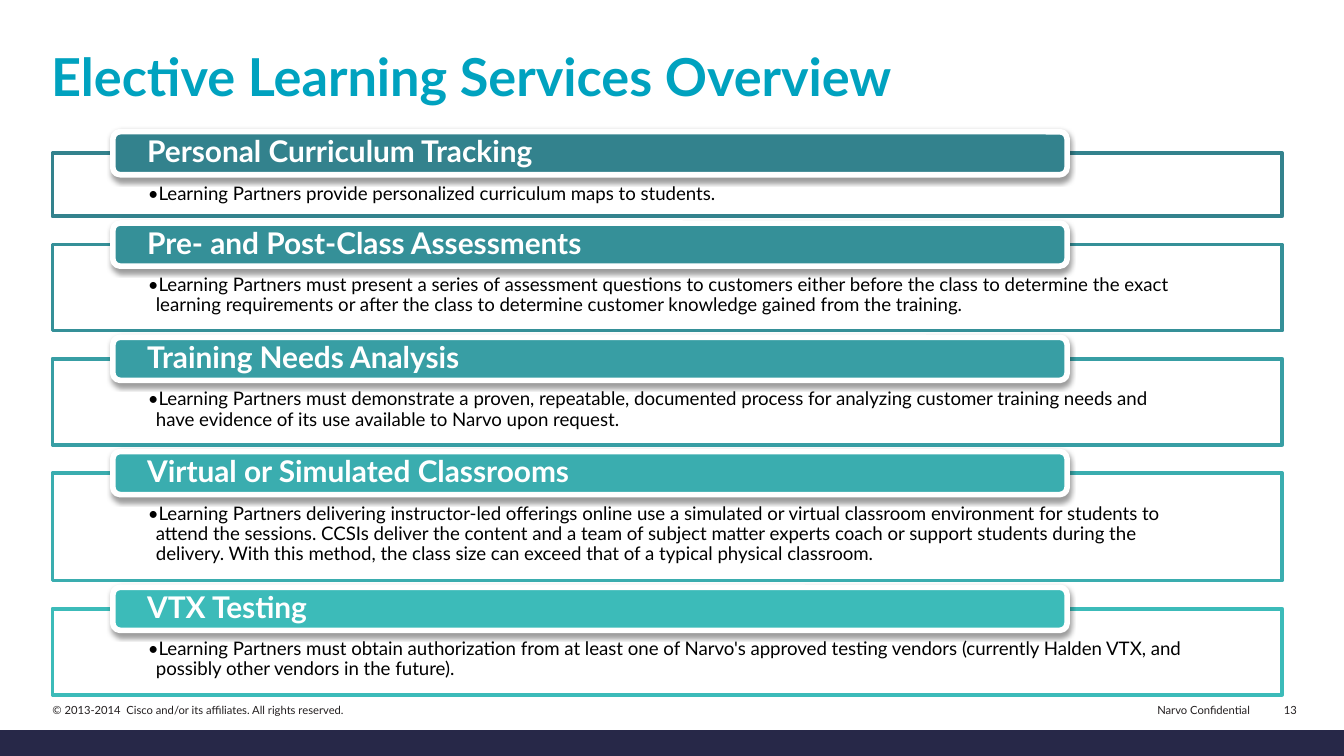
from lxml import etree
from pptx import Presentation
from pptx.dml.color import RGBColor
from pptx.enum.shapes import MSO_CONNECTOR, MSO_SHAPE
from pptx.enum.text import MSO_ANCHOR, MSO_AUTO_SIZE, PP_ALIGN
from pptx.oxml.ns import qn
from pptx.util import Inches, Pt

RECT, ROUNDED = MSO_SHAPE.RECTANGLE, MSO_SHAPE.ROUNDED_RECTANGLE
STRAIGHT = MSO_CONNECTOR.STRAIGHT
TOP, MIDDLE, BOTTOM = MSO_ANCHOR.TOP, MSO_ANCHOR.MIDDLE, MSO_ANCHOR.BOTTOM
LEFT, RIGHT = PP_ALIGN.LEFT, PP_ALIGN.RIGHT
NO_AUTOFIT = MSO_AUTO_SIZE.NONE

FONT = "Lato"
BOX_HEIGHTS = {1: 0.47, 2: 0.64, 3: 0.8}  # by number of text lines
BOX_GAP = 0.21

# Heading, body, line count, colour
SERVICES = [
    ("Personal Curriculum Tracking",
     "Learning Partners provide personalized curriculum maps to students.",
     1, "33828D"),
    ("Pre- and Post-Class Assessments",
     "Learning Partners must present a series of assessment questions to customers "
     "either before the class to determine the exact learning requirements or after "
     "the class to determine customer knowledge gained from the training.",
     2, "359098"),
    ("Training Needs Analysis",
     "Learning Partners must demonstrate a proven, repeatable, documented process for "
     "analyzing customer training needs and have evidence of its use available to "
     "Narvo upon request.",
     2, "389EA4"),
    ("Virtual or Simulated Classrooms",
     "Learning Partners delivering instructor-led offerings online use a simulated or "
     "virtual classroom environment for students to attend the sessions. CCSIs deliver "
     "the content and a team of subject matter experts coach or support students during "
     "the delivery. With this method, the class size can exceed that of a typical "
     "physical classroom.",
     3, "3AADAF"),
    ("VTX Testing",
     "Learning Partners must obtain authorization from at least one of Narvo's approved "
     "testing vendors (currently Halden VTX, and possibly other vendors in the future).",
     2, "3CBBB9"),
]


def rgb(color):
    return RGBColor.from_string(color)


def write(sp, text, size, color, bold=False, align=LEFT, anchor=TOP,
          insets=(0.1, 0.05, 0.1, 0.05), spacing=0.9, wrap=True, bullet=False):
    tf = sp.text_frame
    tf.text = text
    tf.word_wrap = wrap
    tf.auto_size = NO_AUTOFIT
    tf.vertical_anchor = anchor
    tf.margin_left, tf.margin_top, tf.margin_right, tf.margin_bottom = map(Inches, insets)
    p = tf.paragraphs[0]
    p.alignment = align
    p.line_spacing = spacing
    if bullet:
        p.level = 1
        pPr = p._p.get_or_add_pPr()
        pPr.set("marL", str(Inches(0.06)))
        pPr.set("indent", str(-Inches(0.06)))
        etree.SubElement(pPr, qn("a:buFont"), typeface=FONT)
        etree.SubElement(pPr, qn("a:buChar"), char="•")
    font = p.runs[0].font
    font.name, font.size, font.bold = FONT, Pt(size), bold
    font.color.rgb = rgb(color)


def add_box(slide, kind, left, top, width, height, fill, line, line_width):
    sp = slide.shapes.add_shape(kind, Inches(left), Inches(top), Inches(width), Inches(height))
    sp.shadow.inherit = False
    sp.fill.solid()
    sp.fill.fore_color.rgb = rgb(fill)
    sp.line.color.rgb = rgb(line)
    sp.line.width = Pt(line_width)
    return sp


def set_alpha(clr, percent):
    etree.SubElement(clr, qn("a:alpha"), val=str(percent * 1000))


def add_shadow(sp):
    effects = sp._element.spPr.find(qn("a:effectLst"))
    shadow = etree.SubElement(effects, qn("a:outerShdw"), blurRad=str(Pt(3.1)),
                              dist=str(Pt(1.6)), dir="5400000", rotWithShape="0")
    set_alpha(etree.SubElement(shadow, qn("a:srgbClr"), val="000000"), 38)


def add_title(slide, text, left, top, width, height):
    title = slide.shapes.title
    title.left, title.top = Inches(left), Inches(top)
    title.width, title.height = Inches(width), Inches(height)
    write(title, text, 28, "00A2BF", bold=True)


def add_service(slide, heading, body, color, left, top, width, height):
    # Outlined description
    box = add_box(slide, RECT, left, top, width, height, "FFFFFF", color, 2)
    set_alpha(box._element.spPr.find(qn("a:solidFill"))[0], 90)
    write(box, body, 10, "000000", insets=(0.71, 0.23, 0.71, 0.08), bullet=True)
    # Heading tab over the top edge
    tab = add_box(slide, ROUNDED, left + 0.45, top - 0.16, 7.1, 0.32, color, "FFFFFF", 3)
    add_shadow(tab)
    write(tab, heading, 16, "FFFFFF", bold=True, anchor=MIDDLE, insets=(0.24, 0, 0.24, 0))


def add_services(slide, left, top, width):
    for heading, body, lines, color in SERVICES:
        height = BOX_HEIGHTS[lines]
        add_service(slide, heading, body, color, left, top, width, height)
        top += height + BOX_GAP


def add_footer(slide, top, height):
    notes = [
        ("© 2013-2014  Cisco and/or its affiliates. All rights reserved.", 0.32, 3.74, LEFT),
        ("Narvo Confidential", 8.54, 0.83, RIGHT),
        ("13", 9.48, 0.24, RIGHT),
    ]
    for text, left, width, align in notes:
        s = slide.shapes.add_textbox(Inches(left), Inches(top), Inches(width), Inches(height))
        write(s, text, 6, "231F20", align=align, anchor=BOTTOM, spacing=1.0,
              insets=(0.07, 0.03, 0.07, 0.03), wrap=align == LEFT)
    # Bottom band
    y = Inches(top + 0.34)
    band = slide.shapes.add_connector(STRAIGHT, 0, y, Inches(10), y)
    band.line.color.rgb = rgb("272848")
    band.line.width = Pt(14)
    etree.SubElement(band._element.spPr, qn("a:effectLst"))


def main():
    prs = Presentation()
    prs.slide_width = Inches(10)
    prs.slide_height = prs.slide_width * 9 // 16
    slide = prs.slides.add_slide(prs.slide_layouts[5])
    add_footer(slide, 5.19, 0.17)
    add_title(slide, "Elective Learning Services Overview", 0.28, 0.33, 9.47, 0.8)
    add_services(slide, 0.39, 1.14, 9.15)
    prs.save("out.pptx")


if __name__ == "__main__":
    main()
